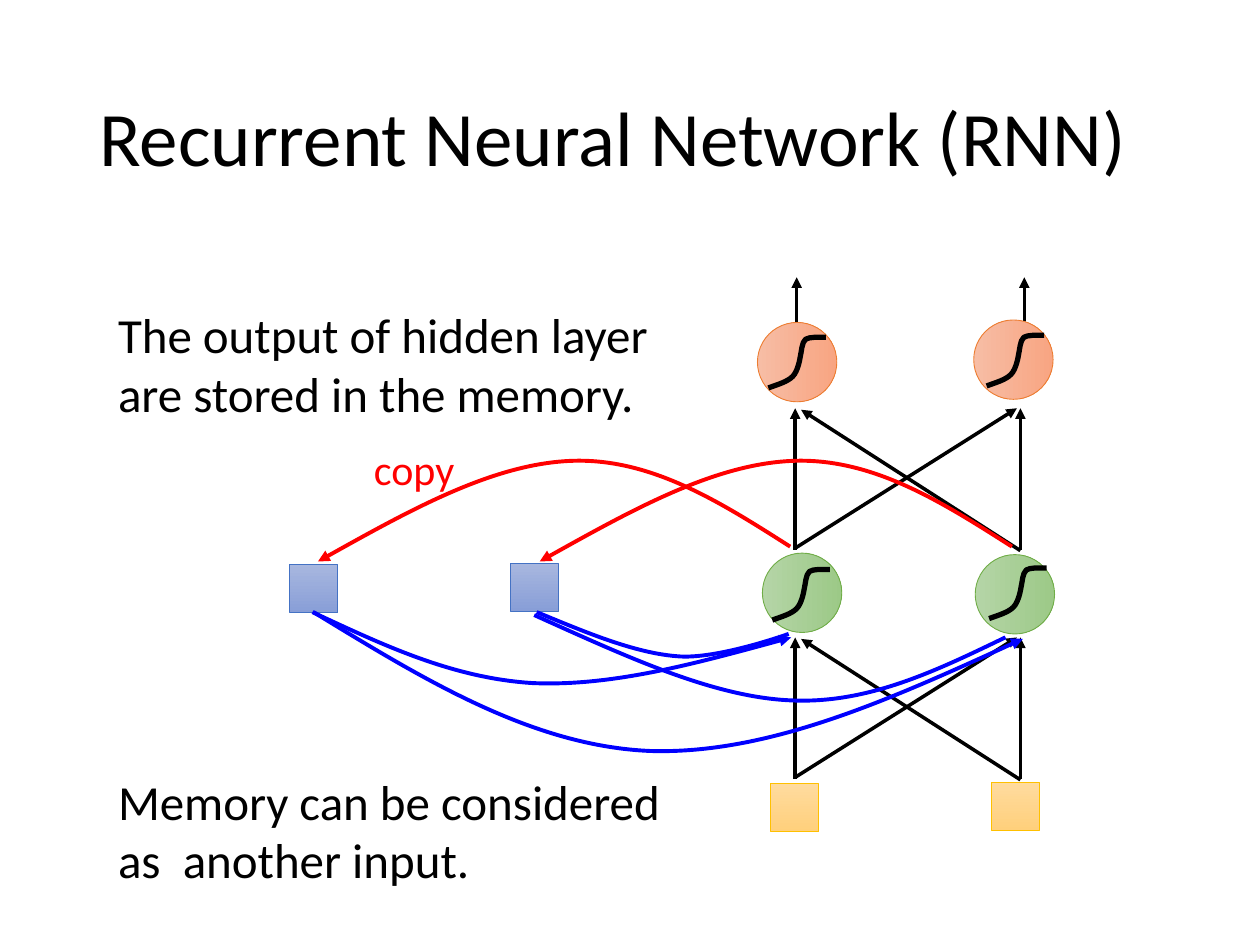
from typing import NamedTuple

from lxml import etree
from pptx import Presentation
from pptx.dml.color import RGBColor
from pptx.enum import shapes, text
from pptx.oxml import parse_xml
from pptx.oxml.ns import nsdecls, qn
from pptx.util import Cm, Pt

COLORS = {"black": "000000", "red": "FF0000", "blue": "0000FF"}
FONT = "Calibri"
STEPS = 16  # samples per Bézier segment when measuring its extent
LAYER_GAP = 4.62

Point = tuple[float, float]


class Kind(NamedTuple):
    shape: shapes.MSO_SHAPE
    size: float
    rotation: int
    gradient: tuple[str, str]
    outline: str


class Node(NamedTuple):
    kind: Kind
    left: float
    top: float


class Arrow(NamedTuple):
    start: Point
    end: Point


class Curve(NamedTuple):
    points: list[Point]  # start, then two controls and an end per segment
    color: str
    width: float = 2.25
    arrow: bool = False


class Label(NamedTuple):
    words: str
    box: tuple[float, float, float, float]
    size: int
    color: str = "black"


RECT, OVAL = shapes.MSO_SHAPE.RECTANGLE, shapes.MSO_SHAPE.OVAL
INPUT = Kind(RECT, 0.97, 0, ("FFDB9E", "FFD07C"), "FFC000")
MEMORY = Kind(RECT, 0.97, 0, ("A8B7DF", "889ED7"), "4472C4")
HIDDEN = Kind(OVAL, 1.6, 270, ("B5D5A7", "9CC987"), "70AD47")
OUTPUT = Kind(OVAL, 1.6, 270, ("F7BDA5", "F8A582"), "ED7D31")

NODES = [
    Node(INPUT, 15.54, 15.8), Node(INPUT, 19.99, 15.77),
    Node(HIDDEN, 15.37, 11.15), Node(HIDDEN, 19.66, 11.18),
    Node(OUTPUT, 15.27, 6.5), Node(OUTPUT, 19.63, 6.45),
    Node(MEMORY, 5.84, 11.38), Node(MEMORY, 10.29, 11.35),
]
RESULTS = [Arrow((20.65, 7.42), (20.65, 5.59)), Arrow((16.06, 7.39), (16.06, 5.59))]
MESH = [
    Arrow((20.57, 15.72), (16.15, 12.88)), Arrow((16.03, 15.67), (20.5, 12.85)),
    Arrow((20.57, 15.7), (20.57, 12.85)), Arrow((16.03, 15.7), (16.03, 12.85)),
]
SIGMOID = [
    (0, 0), (0.19, -0.07), (0.38, -0.12), (0.49, -0.23),
    (0.6, -0.34), (0.64, -0.61), (0.64, -0.61),
    (0.67, -0.73), (0.67, -0.91), (0.75, -0.98),
    (0.83, -1.03), (0.99, -1.02), (1.16, -1.02),
]
SIGMOID_STARTS = [(15.49, 7.82), (19.89, 7.78), (19.94, 12.47), (15.57, 12.5)]
COPY = [
    (0, 0), (-1.4, -0.89), (-2.79, -1.78), (-4.38, -1.73),
    (-5.97, -1.68), (-7.75, -0.69), (-9.52, 0.3),
]
COPY_STARTS = [(15.93, 11.02), (20.4, 11.02)]
FEEDBACK = [
    Curve([(10.82, 12.34), (11.81, 12.75), (12.78, 13.16), (13.64, 13.23),
           (14.43, 13.31), (15.9, 12.78), (15.9, 12.78)], "blue"),
    Curve([(10.77, 12.4), (12.57, 13.21), (14.35, 14.05), (15.93, 14.12),
           (17.5, 14.2), (18.9, 13.51), (20.27, 12.85)], "blue"),
    Curve([(6.3, 12.34), (7.72, 13), (9.12, 13.67), (10.74, 13.77),
           (12.34, 13.84), (14.15, 13.34), (15.95, 12.85)], "blue", arrow=True),
    Curve([(6.32, 12.34), (8.53, 13.69), (10.72, 15.04), (13.11, 15.14),
           (15.49, 15.21), (18.06, 14.05), (20.62, 12.88)], "blue", arrow=True),
]
LABELS = [
    Label("Memory can be considered as  another input.", (2.13, 15.42, 11.51, 2.64), 28),
    Label("The output of hidden layer are stored in the memory.",
          (2.13, 6.02, 12.24, 2.64), 28),
    Label("copy", (7.29, 8.81, 2.69, 1.27), 24, "red"),
]


def shifted(points: list[Point], dx: float, dy: float) -> list[Point]:
    return [(x + dx, y + dy) for x, y in points]


def sampled(points: list[Point]) -> list[Point]:
    """Points along a chain of cubic Béziers, after its start."""
    flat = []
    for i in range(0, len(points) - 1, 3):
        a, b, c, d = points[i:i + 4]
        for t in (n / STEPS for n in range(1, STEPS + 1)):
            s = 1 - t
            flat.append(tuple(
                s**3 * a[k] + 3 * s * s * t * b[k] + 3 * s * t * t * c[k] + t**3 * d[k]
                for k in (0, 1)))
    return flat


def set_line(sp, color: str, width: float, arrow: bool = False) -> None:
    sp.line.color.rgb = RGBColor.from_string(color)
    sp.line.width = Pt(width)
    if arrow:
        ln = sp.element.find(".//" + qn("a:ln"))
        ln.append(parse_xml(f'<a:tailEnd {nsdecls("a")} type="triangle"/>'))


def draw_arrow(s, arrow: Arrow) -> None:
    sp = s.shapes.add_connector(shapes.MSO_CONNECTOR.STRAIGHT,
                                *map(Cm, arrow.start + arrow.end))
    set_line(sp, COLORS["black"], 2, arrow=True)
    sp.element.spPr.append(parse_xml(f'<a:effectLst {nsdecls("a")}/>'))


def draw_node(s, node: Node) -> None:
    kind = node.kind
    sp = s.shapes.add_shape(kind.shape, *map(Cm, (node.left, node.top, kind.size, kind.size)))
    sp.rotation = kind.rotation
    sp.shadow.inherit = False
    sp.fill.gradient()
    sp.fill.gradient_angle = 270
    for stop, color in zip(sp.fill.gradient_stops, kind.gradient):
        stop.color.rgb = RGBColor.from_string(color)
    set_line(sp, kind.outline, 0.5)


def bend(sp, points: list[Point]) -> None:
    """Replace the straight pieces of a freeform by cubic Béziers."""
    outline = sp.element.find(".//" + qn("a:path"))
    for piece in outline.findall(qn("a:lnTo")):
        outline.remove(piece)
    for i in range(1, len(points), 3):
        segment = etree.SubElement(outline, qn("a:cubicBezTo"))
        for x, y in points[i:i + 3]:
            etree.SubElement(segment, qn("a:pt"),
                             x=str(Cm(x) - sp.left), y=str(Cm(y) - sp.top))


def draw_curve(s, curve: Curve) -> None:
    builder = s.shapes.build_freeform(*map(Cm, curve.points[0]))
    builder.add_line_segments([(Cm(x), Cm(y)) for x, y in sampled(curve.points)], close=False)
    sp = builder.convert_to_shape()
    bend(sp, curve.points)
    sp.shadow.inherit = False
    sp.fill.background()
    set_line(sp, COLORS[curve.color], curve.width, curve.arrow)


def write(tf, words: str, size: int, color: str) -> None:
    p = tf.paragraphs[0]
    p.alignment = text.PP_ALIGN.LEFT
    r = p.add_run()
    r.text = words
    for name, value in {"name": FONT, "size": Pt(size)}.items():
        setattr(r.font, name, value)
    r.font.color.rgb = RGBColor.from_string(COLORS[color])


def draw_label(s, label: Label) -> None:
    tf = s.shapes.add_textbox(*map(Cm, label.box)).text_frame
    tf.word_wrap = True
    write(tf, label.words, label.size, label.color)


def draw_title(s, words: str) -> None:
    sp = s.shapes.title
    place = {"left": 1.75, "top": 1.02, "width": 21.9, "height": 3.68}
    for name, value in place.items():
        setattr(sp, name, Cm(value))
    tf = sp.text_frame
    tf.auto_size = text.MSO_AUTO_SIZE.NONE
    tf.vertical_anchor = text.MSO_ANCHOR.MIDDLE
    write(tf, words, 44, "black")
    tf.paragraphs[0].line_spacing = 0.9


prs = Presentation()
prs.slide_width, prs.slide_height = Cm(25.4), Cm(19.05)
s = prs.slides.add_slide(prs.slide_layouts[5])
draw_title(s, "Recurrent Neural Network (RNN)")
for arrow in RESULTS:
    draw_arrow(s, arrow)
for node in NODES:
    draw_node(s, node)
for rise in (0, LAYER_GAP):
    for arrow in MESH:
        draw_arrow(s, Arrow(*shifted(list(arrow), 0, -rise)))
sigmoids = [Curve(shifted(SIGMOID, *at), "black", 3) for at in SIGMOID_STARTS]
copies = [Curve(shifted(COPY, *at), "red", arrow=True) for at in COPY_STARTS]
for curve in FEEDBACK + sigmoids + copies:
    draw_curve(s, curve)
for label in LABELS:
    draw_label(s, label)
prs.save("out.pptx")
